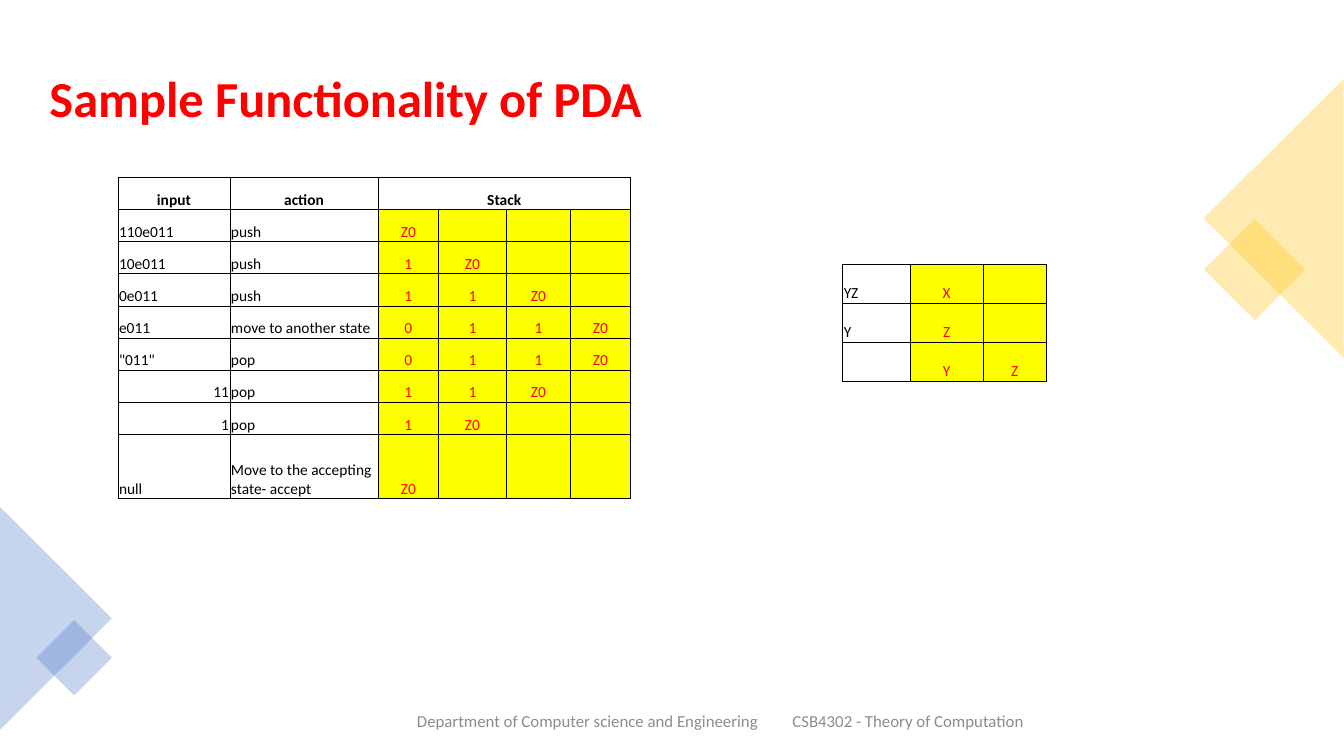
from dataclasses import dataclass

from lxml.etree import SubElement as sub
from pptx import Presentation
from pptx.dml.color import RGBColor
from pptx.enum.shapes import MSO_SHAPE as Kind
from pptx.enum.text import MSO_ANCHOR as Anchor, PP_ALIGN as Align
from pptx.oxml import parse_xml
from pptx.oxml.ns import nsdecls, qn
from pptx.util import Emu, Inches, Pt

WIDE, HIGH = Inches(13.33), Inches(7.5)
RED, BLACK, YELLOW = "FF0000", "000000", "FFFF00"
GOLD, BLUE, GREY = "FFC000", "4472C4", "8C8C8C"


# Lengths are percentages of the slide's width and height
def across(share: float) -> Emu:
    return Emu(round(WIDE * share / 100))


def down(share: float) -> Emu:
    return Emu(round(HIGH * share / 100))


@dataclass
class Box:
    left: float
    top: float
    wide: float
    high: float

    def place(self) -> tuple:
        return across(self.left), down(self.top), across(self.wide), down(self.high)


@dataclass
class Decor:
    kind: Kind
    box: Box
    turn: int
    color: str


@dataclass
class Row:
    labels: tuple
    stack: str


@dataclass
class Grid:
    left: float
    top: float
    cols: list
    rows: list
    head: tuple
    body: list


DECOR = [
    Decor(Kind.RECTANGLE, Box(90.68, 30.93, 5.33, 9.47), 45, GOLD),
    Decor(Kind.ISOSCELES_TRIANGLE, Box(84.38, 19.6, 20.78, 18.53), 270, GOLD),
    Decor(Kind.ISOSCELES_TRIANGLE, Box(-4.13, 74.4, 16.58, 14.8), 90, BLUE),
    Decor(Kind.RECTANGLE, Box(3.53, 83.47, 3.98, 7.07), 45, BLUE),
]

TRACE = Grid(
    8.78, 23.47, [8.33, 11.03, 4.5, 5.03, 4.8, 4.43], [4.25] * 8 + [8.5],
    ("input", "action", "Stack"),
    [
        Row(("110e011", "push"), "Z0"),
        Row(("10e011", "push"), "1 Z0"),
        Row(("0e011", "push"), "1 1 Z0"),
        Row(("e011", "move to another state"), "0 1 1 Z0"),
        Row(('"011"', "pop"), "0 1 1 Z0"),
        Row(("11", "pop"), "1 1 Z0"),
        Row(("1", "pop"), "1 Z0"),
        Row(("null", "Move to the accepting state- accept"), "Z0"),
    ],
)
MOVES = Grid(
    62.71, 34.93, [5.03, 5.4, 4.73], [5.16] * 3, (),
    [Row(("YZ",), "X"), Row(("Y",), "Z"), Row(("",), "Y Z")],
)


def paint(color: str) -> RGBColor:
    return RGBColor.from_string(color)


def style(para, size: float, color: str, align: Align, bold: bool = False) -> None:
    para.alignment = align
    for run in para.runs:
        font = run.font
        font.name, font.size, font.bold = "Calibri", Pt(size), bold
        font.color.rgb = paint(color)


def add_title(slide) -> None:
    title = slide.shapes.title
    title.left, title.top, title.width, title.height = Box(2.93, 5.07, 89.5, 16.53).place()
    frame = title.text_frame
    frame.text = "Sample Functionality of PDA"
    frame.vertical_anchor = Anchor.MIDDLE
    para = frame.paragraphs[0]
    para.line_spacing = 0.9
    style(para, 36, RED, Align.LEFT, True)


def add_decor(slide, item: Decor) -> None:
    shape = slide.shapes.add_shape(item.kind, *item.box.place())
    shape.rotation = item.turn
    shape.shadow.inherit = False
    shape.line.fill.background()
    shape.fill.solid()
    shape.fill.fore_color.rgb = paint(item.color)
    tint = next(shape.element.iter(qn("a:srgbClr")))
    sub(tint, qn("a:alpha"), val="30000")


def add_foot(slide) -> None:
    frame = slide.shapes.add_textbox(*Box(17.63, 92.67, 71.94, 5.33).place()).text_frame
    frame.word_wrap = True
    frame.vertical_anchor = Anchor.MIDDLE
    para = frame.paragraphs[0]
    para.space_after = Pt(6)
    parts = "Department of Computer science and Engineering", " ", "CSB4302 - Theory of Computation"
    for part in parts:
        para.add_run().text = part
    style(para, 12, GREY, Align.CENTER)
    # Wide letter spacing on the single space sets the gap
    para.runs[1].font._element.set("spc", "2160")


def add_edges(cell) -> None:
    props = cell._tc.get_or_add_tcPr()
    for spot, side in enumerate("LRTB"):
        props.insert(spot, parse_xml(
            f'<a:ln{side} {nsdecls("a")} w="6350"><a:solidFill>'
            f'<a:srgbClr val="{BLACK}"/></a:solidFill></a:ln{side}>'))


def fill_cell(cell, text: str, head: bool, stack: bool) -> None:
    cell.margin_left = cell.margin_right = cell.margin_top = Inches(0.01)
    cell.margin_bottom = 0
    cell.vertical_anchor = Anchor.BOTTOM
    if stack:
        cell.fill.solid()
        cell.fill.fore_color.rgb = paint(YELLOW)
    else:
        cell.fill.background()
    add_edges(cell)
    if text:
        cell.text_frame.text = text
        plain = Align.RIGHT if text.isdigit() else Align.LEFT
        align = Align.CENTER if head or stack else plain
        style(cell.text_frame.paragraphs[0], 11, RED if stack else BLACK, align, head)


def add_grid(slide, grid: Grid) -> None:
    box = Box(grid.left, grid.top, sum(grid.cols), sum(grid.rows))
    table = slide.shapes.add_table(len(grid.rows), len(grid.cols), *box.place()).table
    table.first_row = table.horz_banding = False
    for col, wide in zip(table.columns, grid.cols):
        col.width = across(wide)
    for row, high in zip(table.rows, grid.rows):
        row.height = down(high)

    lines = [grid.head] if grid.head else []
    lines += [(*row.labels, *row.stack.split()) for row in grid.body]
    first = len(grid.body[0].labels)
    for r, line in enumerate(lines):
        head = bool(grid.head) and r == 0
        for c in range(len(grid.cols)):
            text = line[c] if c < len(line) else ""
            fill_cell(table.cell(r, c), text, head, c >= first and not head)
    if grid.head:
        table.cell(0, first).merge(table.cell(0, len(grid.cols) - 1))


def main() -> None:
    deck = Presentation()
    deck.slide_width, deck.slide_height = WIDE, HIGH
    slide = deck.slides.add_slide(deck.slide_layouts[5])
    add_title(slide)
    for item in DECOR:
        add_decor(slide, item)
    add_foot(slide)
    for grid in (TRACE, MOVES):
        add_grid(slide, grid)
    deck.save("out.pptx")


if __name__ == "__main__":
    main()
